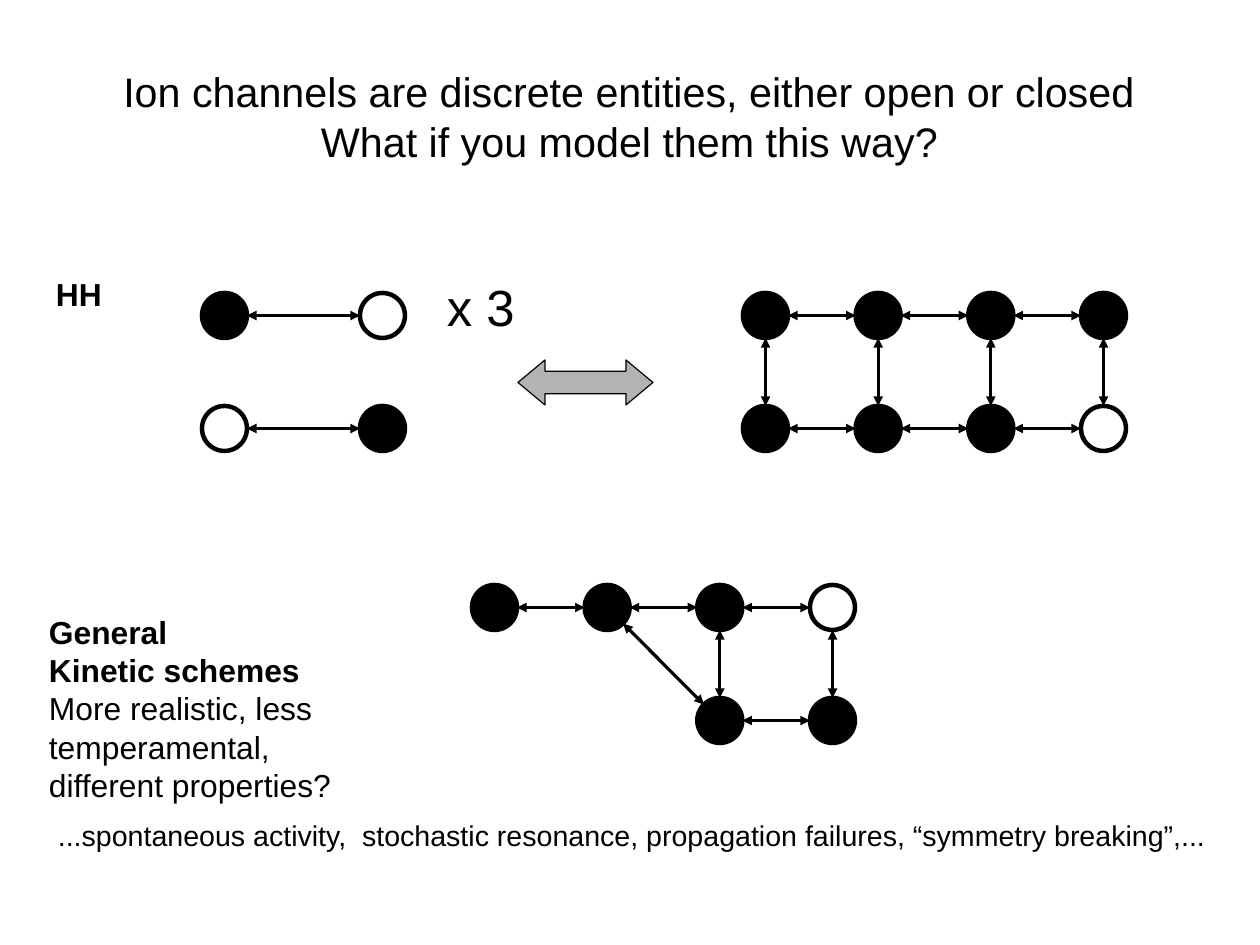
import math
from lxml import etree
from pptx import Presentation
from pptx import util as u
from pptx.dml.color import RGBColor
from pptx.enum import shapes, text
from pptx.oxml.ns import qn

PX = 8000  # EMU in one px
BLACK = RGBColor(0x00, 0x00, 0x00)
WHITE = RGBColor(0xFF, 0xFF, 0xFF)
GREY = RGBColor(0xB3, 0xB3, 0xB3)
FONT = "Arial"
NODE = 45  # diameter of a channel state


def px(*lengths):
    return [u.Emu(round(n * PX)) for n in lengths]


def add_text(slide, box, lines, size, inset=(11, 6), wrap=False,
             align=text.PP_ALIGN.LEFT, anchor=text.MSO_ANCHOR.TOP):
    """Each line is a (words, bold) pair and becomes a paragraph."""
    tf = slide.shapes.add_textbox(*px(*box)).text_frame
    tf.word_wrap = wrap
    tf.vertical_anchor = anchor
    tf.margin_left, tf.margin_top = tf.margin_right, tf.margin_bottom = px(*inset)
    for i, (words, bold) in enumerate(lines):
        p = tf.paragraphs[0] if i == 0 else tf.add_paragraph()
        p.alignment = align
        r = p.add_run()
        r.text = words
        r.font.name, r.font.size, r.font.bold = FONT, u.Pt(size), bold
        r.font.color.rgb = BLACK


def add_figure(slide, kind, box, fill, width):
    s = slide.shapes.add_shape(kind, *px(*box))
    s.shadow.inherit = False
    s.fill.solid()
    s.fill.fore_color.rgb = fill
    s.line.color.rgb = BLACK
    s.line.width = u.Pt(width)
    return s


def add_link(slide, a, b):
    """Double arrow between the rims of two nodes centred at a and b."""
    dx, dy = b[0] - a[0], b[1] - a[1]
    rim = NODE / 2 / math.hypot(dx, dy)
    c = slide.shapes.add_connector(
        shapes.MSO_CONNECTOR.STRAIGHT,
        *px(a[0] + dx * rim, a[1] + dy * rim, b[0] - dx * rim, b[1] - dy * rim))
    c.line.color.rgb = BLACK
    c.line.width = u.Pt(0)
    ln = c.line._get_or_add_ln()
    for end in ("a:headEnd", "a:tailEnd"):
        etree.SubElement(ln, qn(end), type="triangle")
    etree.SubElement(c._element.spPr, qn("a:effectLst"))


def add_scheme(slide, box, cols, nodes, opened, links):
    """Two-row grid of states; nodes are (column, row) cells."""
    left, top, width, height = box

    def centre(cell):
        col, row = cell
        return (left + NODE / 2 + col * (width - NODE) / (cols - 1),
                top + NODE / 2 + row * (height - NODE))

    for cell in nodes:
        x, y = centre(cell)
        add_figure(slide, shapes.MSO_SHAPE.OVAL,
                   (x - NODE / 2, y - NODE / 2, NODE, NODE),
                   WHITE if cell in opened else BLACK, 2.83)
    for a, b in links:
        add_link(slide, centre(a), centre(b))


def row_links(row, first, last):
    return [((c, row), (c + 1, row)) for c in range(first, last)]


def column_links(cols):
    return [((c, 0), (c, 1)) for c in cols]


def grid(cols):
    return [(c, r) for r in range(2) for c in range(cols)]


def add_title(slide, box):
    add_text(slide, box,
             [("Ion channels are discrete entities, either open or closed", False),
              ("What if you model them this way?", False)],
             26, inset=(0, 0), wrap=True, align=text.PP_ALIGN.CENTER,
             anchor=text.MSO_ANCHOR.MIDDLE)


def add_hh(slide, box):
    left, top = box[:2]
    add_text(slide, (left, top, 69, 53), [("HH", True)], 20)
    # Independent gates
    add_scheme(slide, (left + 157, top + 24, 203, 158), 2, grid(2),
               [(1, 0), (0, 1)], row_links(0, 0, 1) + row_links(1, 0, 1))
    add_text(slide, (left + 391, top + 1, 126, 74), [("x 3", False)], 32, wrap=True)
    # Equivalence arrow
    s = add_figure(slide, shapes.MSO_SHAPE.LEFT_RIGHT_ARROW,
                   (left + 473, top + 91, 135, 45), GREY, 0)
    s.adjustments[0], s.adjustments[1] = 0.5, 0.6
    # Joint states
    add_scheme(slide, (left + 698, top + 24, 383, 158), 4, grid(4), [(3, 1)],
               row_links(0, 0, 3) + row_links(1, 0, 3) + column_links(range(4)))


def add_kinetic(slide, box):
    left, top = box[:2]
    add_text(slide, (left, top + 22, 515, 173),
             [("General", True), ("Kinetic schemes", True),
              ("More realistic, less temperamental,", False),
              ("different properties?", False)], 20)
    nodes = [(c, 0) for c in range(4)] + [(2, 1), (3, 1)]
    add_scheme(slide, (left + 434, top, 383, 158), 4, nodes, [(3, 0)],
               row_links(0, 0, 3) + row_links(1, 2, 3) + column_links((2, 3))
               + [((1, 0), (2, 1))])


def add_effects(slide, box):
    add_text(slide, box,
             [("...spontaneous activity,  stochastic resonance, propagation "
               "failures, “symmetry breaking”,...", False)], 18)


def main():
    prs = Presentation()
    prs.slide_width, prs.slide_height = px(1260, 945)
    slide = prs.slides.add_slide(prs.slide_layouts[6])
    add_title(slide, (63, 43, 1134, 146))
    add_hh(slide, (45, 269, 1081, 182))
    add_kinetic(slide, (38, 585, 817, 195))
    add_effects(slide, (47, 812, 1170, 47))
    prs.save("out.pptx")


if __name__ == "__main__":
    main()
